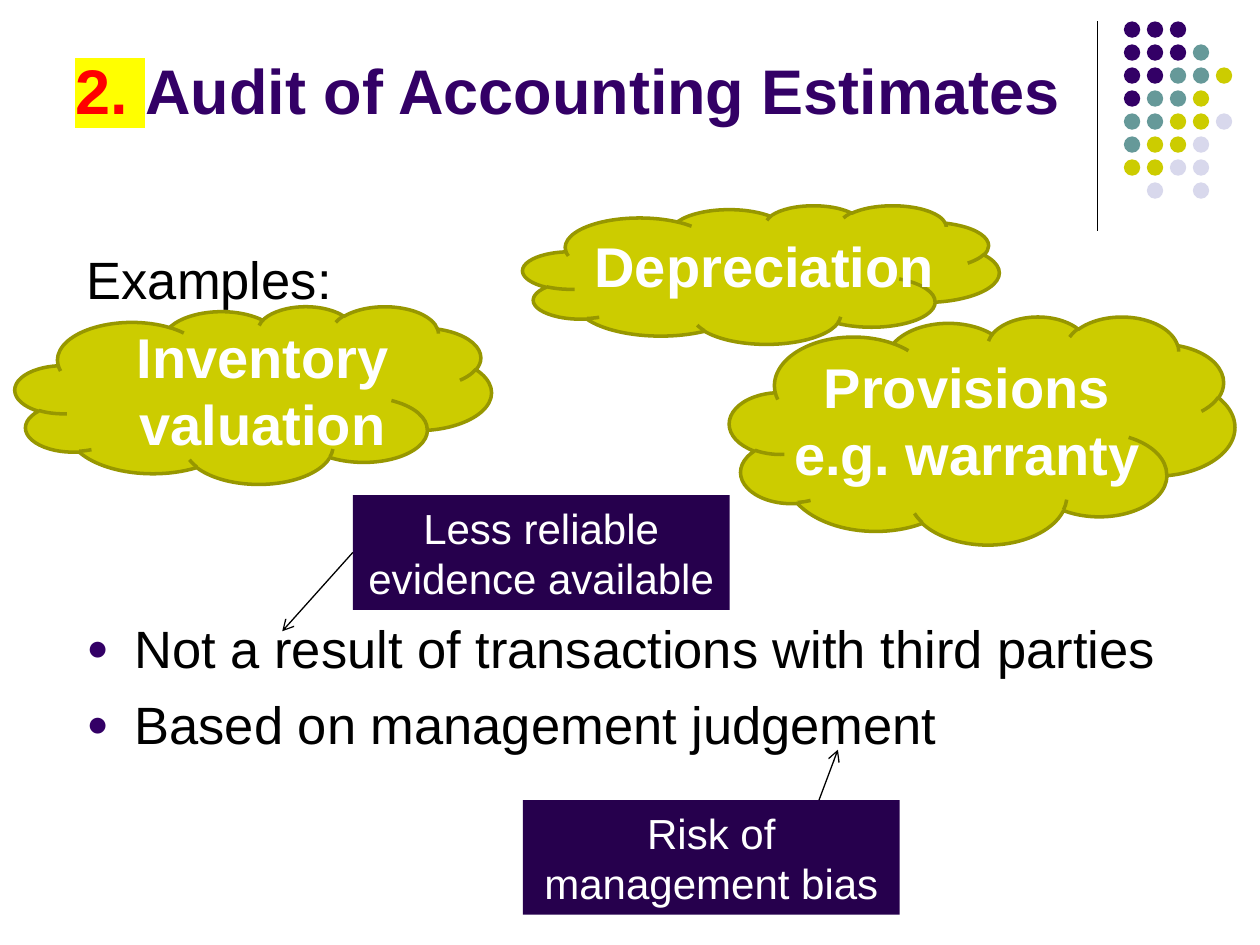
from dataclasses import dataclass

from lxml import etree
from pptx import Presentation
from pptx import util as u
from pptx.dml.color import RGBColor
from pptx.enum import shapes, text
from pptx.oxml.ns import qn

FONT = "Arial"
COLORS = {
    "purple": "330066", "teal": "669999", "lime": "CCCC00", "lilac": "D8D8EC",
    "olive": "979700", "night": "26004D", "red": "FF0000", "yellow": "FFFF00",
    "black": "000000", "white": "FFFFFF",
}
DOT_COLORS = {"p": "purple", "t": "teal", "l": "lime", "v": "lilac"}
DOT_ROWS = ["ppp", "pppt", "ppttl", "pttl", "ttllv", "tllv", "llvv", " v v"]
DOT_LEFT, DOT_TOP, DOT_SIZE, DOT_PITCH = 8.92, 0.17, 0.13, 0.73 / 4


@dataclass
class Box:
    left: float
    top: float
    width: float
    height: float

    def lengths(self) -> list:
        return [u.Inches(v) for v in (self.left, self.top, self.width, self.height)]


@dataclass
class Example:
    cloud: Box
    label: Box
    words: str
    align: text.PP_ALIGN = text.PP_ALIGN.CENTER


@dataclass
class Note:
    box: Box
    words: str


EXAMPLES = [
    Example(Box(4.15, 1.63, 3.78, 1.1), Box(4.62, 1.79, 2.99, 0.64),
            "Depreciation", text.PP_ALIGN.LEFT),
    Example(Box(5.79, 2.51, 4.01, 1.81), Box(6.18, 2.75, 2.99, 1.18),
            "Provisions e.g. warranty"),
    Example(Box(0.12, 2.43, 3.78, 1.41), Box(0.59, 2.51, 2.99, 1.18),
            "Inventory valuation"),
]
RELIABILITY = Note(Box(2.8, 3.93, 2.99, 0.91), "Less reliable evidence available")
BIAS = Note(Box(4.15, 6.35, 2.99, 0.91), "Risk of management bias")
BULLETS = ["Not a result of transactions with third parties",
           "Based on management judgement"]


def rgb(name: str) -> RGBColor:
    return RGBColor.from_string(COLORS[name])


def style_run(r, size: float, color: str, bold: bool = False) -> None:
    r.font.name, r.font.size, r.font.bold = FONT, u.Pt(size), bold
    r.font.color.rgb = rgb(color)


def add_shape(parent, kind, box: Box, fill: str, line: str = ""):
    sp = parent.add_shape(kind, *box.lengths())
    sp.shadow.inherit = False
    sp.fill.solid()
    sp.fill.fore_color.rgb = rgb(fill)
    if line:
        sp.line.color.rgb = rgb(line)
        sp.line.width = u.Pt(2)
    else:
        sp.line.fill.background()
    return sp


def add_text_frame(s, box: Box):
    tf = s.shapes.add_textbox(*box.lengths()).text_frame
    tf.word_wrap = True
    return tf


def fill_text(tf, words: str, size: float, align, bold: bool = False) -> None:
    """Write one white paragraph into a frame that grows with its text."""
    tf.word_wrap = True
    tf.auto_size = text.MSO_AUTO_SIZE.SHAPE_TO_FIT_TEXT
    tf.text = words
    p = tf.paragraphs[0]
    p.alignment = align
    style_run(p.runs[0], size, "white", bold)


def add_line(s, start: tuple, end: tuple, arrow: bool = False):
    cx = s.shapes.add_connector(shapes.MSO_CONNECTOR.STRAIGHT,
                                *(u.Inches(v) for v in start + end))
    cx.line.color.rgb = rgb("black")
    cx.line.width = u.Pt(0.75)
    if arrow:
        etree.SubElement(cx.line._get_or_add_ln(), qn("a:tailEnd"), type="arrow")
    etree.SubElement(cx._element.spPr, qn("a:effectLst"))
    return cx


def add_dots(s) -> None:
    group = s.shapes.add_group_shape()
    for row, codes in enumerate(DOT_ROWS):
        for col, code in enumerate(codes):
            if code in DOT_COLORS:
                box = Box(DOT_LEFT + col * DOT_PITCH, DOT_TOP + row * DOT_PITCH,
                          DOT_SIZE, DOT_SIZE)
                add_shape(group.shapes, shapes.MSO_SHAPE.OVAL, box, DOT_COLORS[code])


def add_title(s) -> None:
    tf = add_text_frame(s, Box(0.5, 0.13, 8.25, 0.93))
    tf.vertical_anchor = text.MSO_ANCHOR.BOTTOM
    p = tf.paragraphs[0]
    for words, color in (("2. ", "red"), ("Audit of Accounting Estimates", "purple")):
        r = p.add_run()
        r.text = words
        style_run(r, 36, color, bold=True)
    highlight = etree.Element(qn("a:highlight"))
    etree.SubElement(highlight, qn("a:srgbClr"), val=COLORS["yellow"])
    p.runs[0].font._element.find(qn("a:solidFill")).addnext(highlight)


def add_bullet(p) -> None:
    pPr = p._p.get_or_add_pPr()
    indent = u.Inches(0.38)
    pPr.set("marL", str(indent))
    pPr.set("indent", str(-indent))
    color = etree.SubElement(pPr, qn("a:buClr"))
    etree.SubElement(color, qn("a:srgbClr"), val=COLORS["purple"])
    etree.SubElement(pPr, qn("a:buSzPct"), val="70000")
    etree.SubElement(pPr, qn("a:buFont"), typeface=FONT)
    etree.SubElement(pPr, qn("a:buChar"), char="●")


def add_body(s) -> None:
    tf = add_text_frame(s, Box(0.59, 1.86, 8.9, 4.82))
    tf.margin_top = u.Inches(0.1)
    tf.text = "\n".join(["Examples:", *BULLETS])
    for p, gap in zip(tf.paragraphs, (0, 175, 7.5)):
        p.space_before = u.Pt(gap)
        style_run(p.runs[0], 30, "black")
    for p in tf.paragraphs[1:]:
        add_bullet(p)


def add_example(s, example: Example) -> None:
    add_shape(s.shapes, shapes.MSO_SHAPE.CLOUD, example.cloud, "lime", "olive")
    tf = add_text_frame(s, example.label)
    fill_text(tf, example.words, 32, example.align, bold=True)


def add_note(s, note: Note):
    sp = add_shape(s.shapes, shapes.MSO_SHAPE.RECTANGLE, note.box, "night")
    fill_text(sp.text_frame, note.words, 24, text.PP_ALIGN.CENTER)
    return sp


def main() -> None:
    prs = Presentation()
    prs.slide_width, prs.slide_height = u.Inches(10), u.Inches(7.5)
    s = prs.slides.add_slide(prs.slide_layouts[6])
    add_line(s, (8.71, 0.17), (8.71, 1.83))
    add_dots(s)
    add_title(s)
    add_body(s)
    for example in EXAMPLES:
        add_example(s, example)
    reliability = add_note(s, RELIABILITY)
    add_note(s, BIAS)
    add_line(s, (2.8, 4.38), (2.24, 5.01), arrow=True).begin_connect(reliability, 1)
    add_line(s, (6.5, 6.35), (6.65, 5.95), arrow=True)
    prs.save("out.pptx")


if __name__ == "__main__":
    main()
